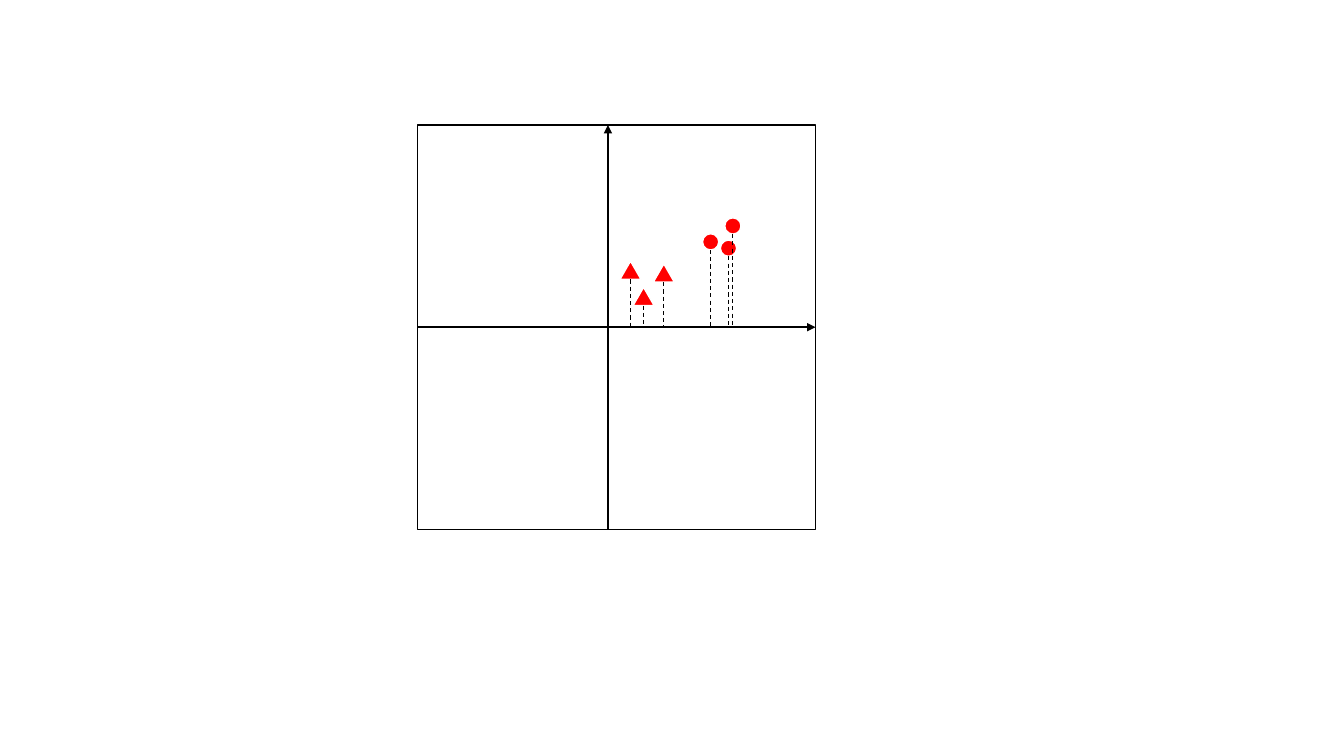
from dataclasses import dataclass

from lxml.etree import SubElement
from pptx import Presentation
from pptx.dml.color import RGBColor
from pptx.enum.dml import MSO_LINE_DASH_STYLE as Dash
from pptx.enum.shapes import MSO_CONNECTOR as Connector, MSO_SHAPE as Shape
from pptx.oxml.ns import qn
from pptx.shapes.autoshape import Shape as AutoShape
from pptx.shapes.connector import Connector as Line
from pptx.shapes.shapetree import SlideShapes
from pptx.util import Cm, Pt


@dataclass(frozen=True)
class Theme:
    ink: RGBColor = RGBColor(0x00, 0x00, 0x00)
    paper: RGBColor = RGBColor(0xFF, 0xFF, 0xFF)
    marker: RGBColor = RGBColor(0xFF, 0x00, 0x00)
    outline: float = 1
    axis: float = 1.5
    drop: float = 0.75


@dataclass(frozen=True)
class Kind:
    preset: Shape
    width: float
    height: float


@dataclass(frozen=True)
class Marker:
    kind: Kind
    centre: float
    top: float

    @property
    def bottom(self) -> float:
        return self.top + self.kind.height


THEME = Theme()

# Plot frame and origin, in centimetres
LEFT, TOP, WIDTH, HEIGHT = 10.52, 3.15, 10.03, 10.19
RIGHT, BOTTOM = LEFT + WIDTH, TOP + HEIGHT
ORIGIN_X, ORIGIN_Y = 15.32, TOP + HEIGHT / 2

CIRCLE = Kind(Shape.OVAL, 0.41, 0.41)
TRIANGLE = Kind(Shape.ISOSCELES_TRIANGLE, 0.53, 0.46)

MARKERS = [
    Marker(CIRCLE, 17.91, 5.89),
    Marker(CIRCLE, 18.36, 6.05),
    Marker(CIRCLE, 18.47, 5.49),
    Marker(TRIANGLE, 16.22, 7.24),
    Marker(TRIANGLE, 15.89, 6.58),
    Marker(TRIANGLE, 16.73, 6.65),
]


def add_figure(shapes: SlideShapes, preset: Shape, left: float, top: float,
               width: float, height: float, fill: RGBColor, edge: RGBColor) -> AutoShape:
    figure = shapes.add_shape(preset, Cm(left), Cm(top), Cm(width), Cm(height))
    figure.shadow.inherit = False
    figure.fill.solid()
    figure.fill.fore_color.rgb = fill
    figure.line.color.rgb = edge
    figure.line.width = Pt(THEME.outline)
    return figure


def add_line(shapes: SlideShapes, x1: float, y1: float, x2: float, y2: float,
             weight: float) -> Line:
    line = shapes.add_connector(Connector.STRAIGHT, Cm(x1), Cm(y1), Cm(x2), Cm(y2))
    line.line.color.rgb = THEME.ink
    line.line.width = Pt(weight)
    SubElement(line._element.spPr, qn("a:effectLst"))
    return line


def add_axis(shapes: SlideShapes, x1: float, y1: float, x2: float, y2: float) -> Line:
    axis = add_line(shapes, x1, y1, x2, y2, THEME.axis)
    SubElement(axis.line._get_or_add_ln(), qn("a:tailEnd"), type="triangle")
    return axis


def add_marker(shapes: SlideShapes, marker: Marker) -> None:
    kind = marker.kind
    add_figure(shapes, kind.preset, marker.centre - kind.width / 2, marker.top,
               kind.width, kind.height, THEME.marker, THEME.paper)


def add_drop(shapes: SlideShapes, marker: Marker) -> None:
    drop = add_line(shapes, marker.centre, marker.bottom, marker.centre, ORIGIN_Y, THEME.drop)
    drop.line.dash_style = Dash.DASH


def main() -> None:
    deck = Presentation()
    deck.slide_width, deck.slide_height = Cm(33.87), Cm(19.05)
    page = deck.slides.add_slide(deck.slide_layouts[6])
    shapes = page.shapes

    # Frame and axes
    frame = add_figure(shapes, Shape.RECTANGLE, LEFT, TOP, WIDTH, HEIGHT,
                       THEME.paper, THEME.ink)
    horizontal = add_axis(shapes, LEFT, ORIGIN_Y, RIGHT, ORIGIN_Y)
    horizontal.begin_connect(frame, 1)
    horizontal.end_connect(frame, 3)
    add_axis(shapes, ORIGIN_X, BOTTOM, ORIGIN_X, TOP)

    # Data points, then their projections onto the horizontal axis
    for marker in MARKERS:
        add_marker(shapes, marker)
    for marker in MARKERS:
        add_drop(shapes, marker)

    deck.save("out.pptx")


if __name__ == "__main__":
    main()
